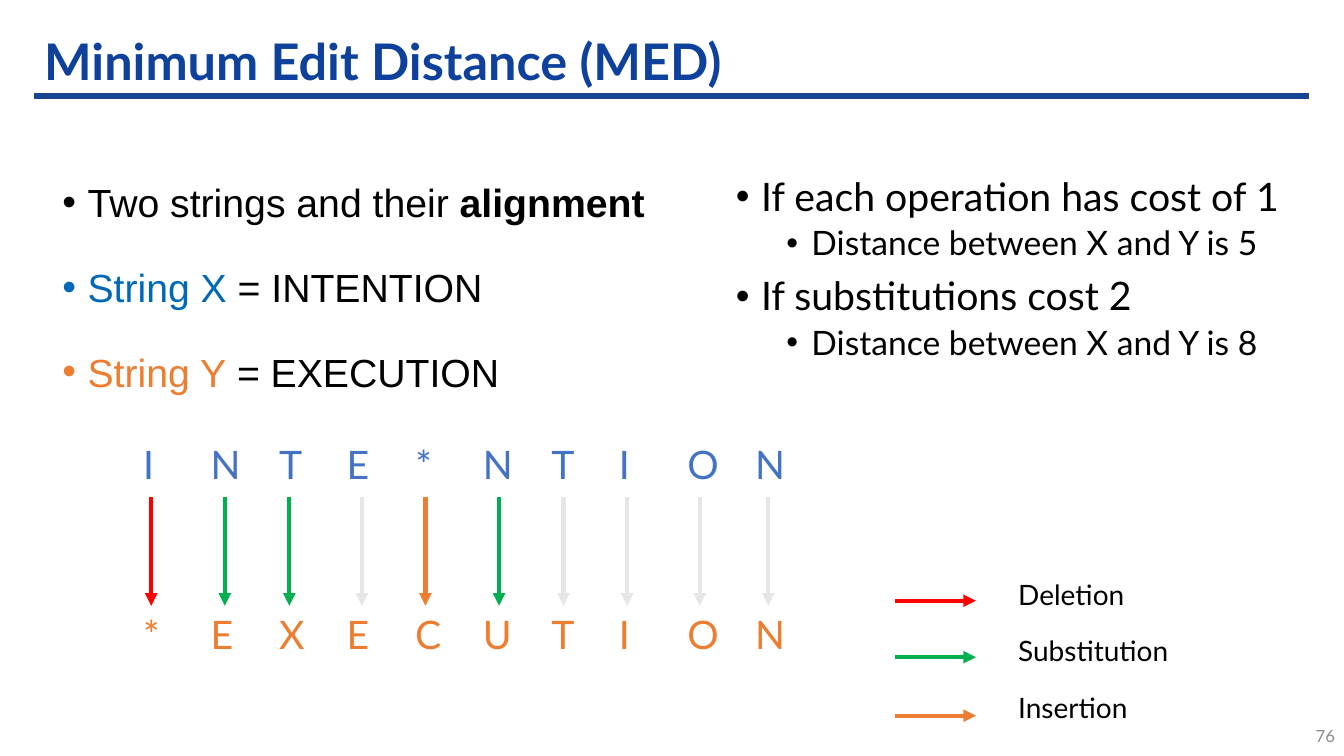
from typing import NamedTuple

from lxml import etree
from pptx import Presentation
from pptx.dml.color import RGBColor
from pptx.enum.shapes import MSO_CONNECTOR, MSO_SHAPE
from pptx.enum.text import MSO_ANCHOR, MSO_AUTO_SIZE, PP_ALIGN
from pptx.oxml.ns import qn
from pptx.util import Emu, Pt

STRAIGHT = MSO_CONNECTOR.STRAIGHT
RECTANGLE = MSO_SHAPE.RECTANGLE
TOP, MIDDLE = MSO_ANCHOR.TOP, MSO_ANCHOR.MIDDLE
GROW, FIXED = MSO_AUTO_SIZE.SHAPE_TO_FIT_TEXT, MSO_AUTO_SIZE.NONE
LEFT, RIGHT = PP_ALIGN.LEFT, PP_ALIGN.RIGHT

EMU_PER_PX = 9144  # 100 px to the inch
COLORS = {
    "title": "0E419C",
    "rule": "174593",
    "text": "000000",
    "string_x": "0068B7",
    "letter_x": "4472C4",
    "string_y": "ED7D31",
    "delete": "FF0000",
    "substitute": "00B050",
    "insert": "ED7D31",
    "keep": "E7E6E6",
    "page": "8C8C8C",
}


class Box(NamedTuple):
    left: int
    top: int
    width: int
    height: int


class Span(NamedTuple):
    text: str
    color: str = "text"
    bold: bool = False


class Bullet(NamedTuple):
    spans: list[Span]
    size: int
    indent: int = 25
    level: int = 0
    space_before: int = 10


class Step(NamedTuple):
    x_letter: str
    y_letter: str
    arrow_left: int
    operation: str


class LegendEntry(NamedTuple):
    label: str
    operation: str
    arrow_top: int
    label_width: int


# Content
STRINGS = [
    Bullet([Span("Two strings and their "), Span("alignment", bold=True)], 28),
    Bullet([Span("String X", "string_x"), Span(" = INTENTION")], 28),
    Bullet([Span("String Y", "string_y"), Span(" = EXECUTION")], 28),
]
COSTS = [
    Bullet([Span("If each operation has cost of 1")], 28),
    Bullet([Span("Distance between X and Y is 5")], 24, 75, 1, 5),
    Bullet([Span("If substitutions cost 2")], 28),
    Bullet([Span("Distance between X and Y is 8")], 24, 75, 1, 5),
]
ALIGNMENT = [
    Step("I", "*", 150, "delete"),
    Step("N", "E", 223, "substitute"),
    Step("T", "X", 287, "substitute"),
    Step("E", "E", 359, "keep"),
    Step("*", "C", 422, "insert"),
    Step("N", "U", 495, "substitute"),
    Step("T", "T", 559, "keep"),
    Step("I", "I", 622, "keep"),
    Step("O", "O", 694, "keep"),
    Step("N", "N", 762, "keep"),
]
LETTER_WIDTHS = {"I": 35, "N": 46, "T": 43, "E": 42, "*": 42,
                 "O": 48, "X": 43, "C": 44, "U": 46}
LEGEND = [
    LegendEntry("Deletion", "delete", 596, 201),
    LegendEntry("Substitution", "substitute", 652, 177),
    LegendEntry("Insertion", "insert", 710, 201),
]


def px(length: int) -> Emu:
    return Emu(length * EMU_PER_PX)


def rgb(name: str) -> RGBColor:
    return RGBColor.from_string(COLORS[name])


def add_frame(slide, box: Box, wrap: bool = True, anchor=TOP, auto_size=FIXED):
    frame = slide.shapes.add_textbox(*map(px, box)).text_frame
    frame.word_wrap = wrap
    frame.vertical_anchor = anchor
    frame.auto_size = auto_size
    return frame


def style_font(font, size: int, color: str, bold: bool = False, face: str = "Lato") -> None:
    font.name = face
    font.size = Pt(size)
    font.bold = bold
    font.color.rgb = rgb(color)


def add_label(slide, box: Box, text: str, size: int, color: str, bold: bool = False,
              align=LEFT, **frame_options) -> None:
    frame = add_frame(slide, box, **frame_options)
    frame.text = text
    paragraph = frame.paragraphs[0]
    paragraph.alignment = align
    style_font(paragraph.runs[0].font, size, color, bold)


def add_bullets(slide, box: Box, bullets: list[Bullet], face: str, line_spacing: float) -> None:
    frame = add_frame(slide, box)
    for index, bullet in enumerate(bullets):
        paragraph = frame.add_paragraph() if index else frame.paragraphs[0]
        properties = paragraph._p.get_or_add_pPr()
        properties.set("marL", str(px(bullet.indent)))
        properties.set("indent", str(px(-25)))
        etree.SubElement(properties, qn("a:buFont"), typeface="Arial")
        etree.SubElement(properties, qn("a:buChar"), char="•")
        paragraph.level = bullet.level
        paragraph.line_spacing = line_spacing
        paragraph.space_before = Pt(bullet.space_before if index else 0)
        for span in bullet.spans:
            run = paragraph.add_run()
            run.text = span.text
            style_font(run.font, bullet.size, span.color, span.bold, face)


def add_arrow(slide, left: int, top: int, right: int, bottom: int, operation: str) -> None:
    arrow = slide.shapes.add_connector(STRAIGHT, px(left), px(top), px(right), px(bottom))
    arrow.line.color.rgb = rgb(operation)
    arrow.line.width = Pt(3)
    properties = arrow.element.spPr
    etree.SubElement(properties.find(qn("a:ln")), qn("a:tailEnd"), type="triangle")
    etree.SubElement(properties, qn("a:effectLst"))


def main() -> None:
    presentation = Presentation()
    presentation.slide_width, presentation.slide_height = px(1333), px(750)
    slide = presentation.slides.add_slide(presentation.slide_layouts[6])

    # Title and the rule below it
    rule = slide.shapes.add_shape(RECTANGLE, *map(px, Box(34, 93, 1264, 5)))
    rule.shadow.inherit = False
    rule.fill.solid()
    rule.fill.fore_color.rgb = rgb("rule")
    rule.line.color.rgb = rgb("rule")
    rule.line.width = Pt(1)
    add_label(slide, Box(34, 26, 1264, 67), "Minimum Edit Distance (MED)", 36, "title",
              bold=True, anchor=MIDDLE)

    # Strings and costs
    add_bullets(slide, Box(52, 149, 709, 255), STRINGS, "Arial", 1.5)
    add_bullets(slide, Box(720, 171, 578, 195), COSTS, "Lato", 0.9)

    # Letter-by-letter alignment
    for index, step in enumerate(ALIGNMENT):
        left = 132 + index * 135 // 2
        for letter, top, color in ((step.x_letter, 432, "letter_x"),
                                   (step.y_letter, 601, "string_y")):
            add_label(slide, Box(left, top, LETTER_WIDTHS[letter], 57), letter, 28, color,
                      wrap=False, auto_size=GROW)
        add_arrow(slide, step.arrow_left, 493, step.arrow_left, 601, step.operation)

    # Legend
    for index, entry in enumerate(LEGEND):
        add_arrow(slide, 888, entry.arrow_top, 968, entry.arrow_top, entry.operation)
        add_label(slide, Box(1000, 568 + index * 56, entry.label_width, 44), entry.label,
                  20, "text", auto_size=GROW)

    # Page number
    add_label(slide, Box(1267, 710, 67, 40), "76", 12, "page", align=RIGHT, anchor=MIDDLE)

    presentation.save("out.pptx")


if __name__ == "__main__":
    main()
